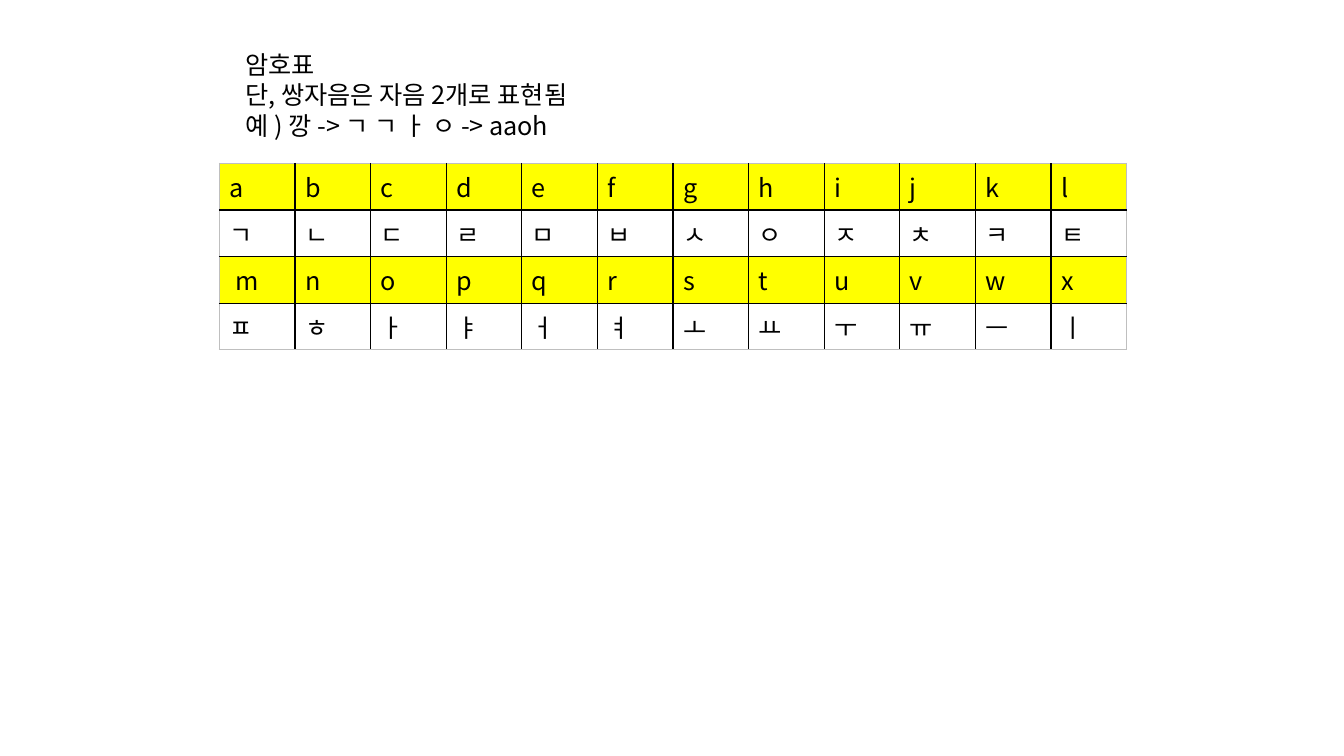
"""Build a slide with a cipher table that maps Latin letters to Hangul letters."""
from lxml import etree
from pptx import Presentation
from pptx.dml.color import RGBColor
from pptx.enum.text import MSO_AUTO_SIZE
from pptx.oxml.ns import qn
from pptx.util import Cm, Pt

FIT_SHAPE = MSO_AUTO_SIZE.SHAPE_TO_FIT_TEXT
FONT = "Noto Sans CJK KR"
COLORS = {
    "text": "000000",
    "letters": "FFFF00",
    "hangul": "FFFFFF",
    "grid": "000000",
    "edge": "BFBFBF",
}
RULES = ["암호표", "단, 쌍자음은 자음 2개로 표현됨", "예 ) 깡 -> ㄱ ㄱ ㅏ ㅇ -> aaoh"]
CIPHER_ROWS = [
    list("abcdefghijkl"),
    list("ㄱㄴㄷㄹㅁㅂㅅㅇㅈㅊㅋㅌ"),
    [" m"] + list("nopqrstuvwx"),
    list("ㅍㅎㅏㅑㅓㅕㅗㅛㅜㅠㅡㅣ"),
]


def format_text(text_frame):
    for paragraph in text_frame.paragraphs:
        for run in paragraph.runs:
            run.font.size = Pt(18)
            run.font.name = FONT
            run.font.color.rgb = RGBColor.from_string(COLORS["text"])


def add_border(cell, side, color):
    properties = cell._tc.get_or_add_tcPr()
    line = etree.SubElement(properties, qn(f"a:ln{side}"), w=str(Pt(1)))
    fill = etree.SubElement(line, qn("a:solidFill"))
    etree.SubElement(fill, qn("a:srgbClr"), val=color)


presentation = Presentation()
presentation.slide_width = Cm(33.87)
presentation.slide_height = Cm(19.05)
slide = presentation.slides.add_slide(presentation.slide_layouts[6])

row_count, column_count = len(CIPHER_ROWS), len(CIPHER_ROWS[0])
table_frame = slide.shapes.add_table(
    row_count, column_count, Cm(5.53), Cm(4.12), Cm(22.86), Cm(4.12)
)
table = table_frame.table
table.first_row = False
table.horz_banding = False

for row_index, letters in enumerate(CIPHER_ROWS):
    row_color = COLORS["hangul" if row_index % 2 else "letters"]
    for column_index, letter in enumerate(letters):
        cell = table.cell(row_index, column_index)
        cell.text_frame.text = letter
        format_text(cell.text_frame)
        outer_sides = {
            "L": column_index == 0,
            "R": column_index == column_count - 1,
            "T": row_index == 0,
            "B": row_index == row_count - 1,
        }
        for side, is_outer in outer_sides.items():
            add_border(cell, side, COLORS["edge" if is_outer else "grid"])
        cell.fill.solid()
        cell.fill.fore_color.rgb = RGBColor.from_string(row_color)

rules_box = slide.shapes.add_textbox(Cm(5.94), Cm(1.12), Cm(9.6), Cm(2.57))
rules_box.text_frame.word_wrap = False
rules_box.text_frame.auto_size = FIT_SHAPE
rules_box.text_frame.text = "\n".join(RULES)
format_text(rules_box.text_frame)

presentation.save("out.pptx")
